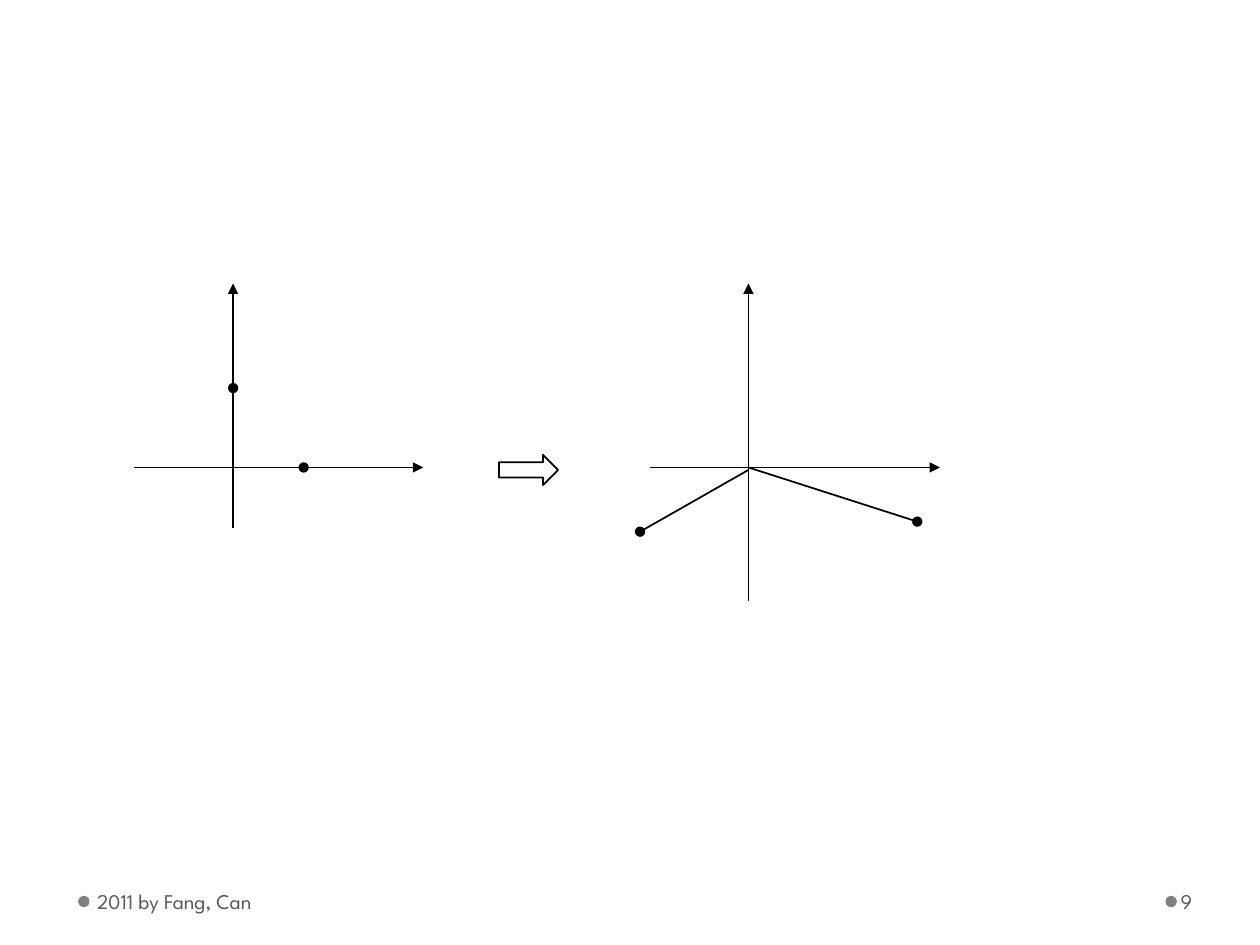
from pptx import Presentation
from pptx.dml.color import RGBColor
from pptx.enum.shapes import MSO_CONNECTOR, MSO_SHAPE
from pptx.enum.text import MSO_ANCHOR
from pptx.oxml.ns import qn
from pptx.util import Inches, Pt
from lxml.etree import SubElement

BLACK = RGBColor(0x00, 0x00, 0x00)
DOT_GRAY = RGBColor(0x80, 0x80, 0x80)
TEXT_GRAY = RGBColor(0x59, 0x59, 0x59)

# Axes and vectors: start, end, ending mark
AXIS_Y = 3.71
LINES = [
    ((1.06, AXIS_Y), (3.36, AXIS_Y), "triangle"),
    ((1.85, 4.19), (1.85, 2.25), "triangle"),
    ((5.16, AXIS_Y), (7.46, AXIS_Y), "triangle"),
    ((5.94, 4.77), (5.94, 2.25), "triangle"),
    ((1.85, AXIS_Y), (1.85, 3.08), "oval"),
    ((1.85, AXIS_Y), (2.41, AXIS_Y), "oval"),
    ((5.94, 3.73), (5.08, 4.22), "oval"),
    ((5.94, AXIS_Y), (7.28, 4.14), "oval"),
]
MAP_ARROW = (3.96, 3.61, 0.47, 0.24)

# Footer: dot left, text left, text width, left and right inset, text
FOOTERS = [
    (0.62, 0.72, 3.11, 0.05, 0.1, "2011 by Fang, Can"),
    (9.25, 9.34, 0.61, 0.03, 0.05, "9"),
]
FOOTER_TOP, FOOTER_HEIGHT = 6.95, 0.4
DOT_TOP, DOT_SIZE = 7.11, 0.09
FOOTER_FONT = {"name": "League Spartan", "size": Pt(12)}


def add_line(page, start, end, mark):
    line = page.shapes.add_connector(
        MSO_CONNECTOR.STRAIGHT, *map(Inches, start + end))
    line.line.color.rgb = BLACK
    line.line.width = Pt(1)
    SubElement(line.line._get_or_add_ln(), qn("a:tailEnd"), type=mark)
    SubElement(line._element.spPr, qn("a:effectLst"))


def add_footer(page, dot_left, left, width, inset_left, inset_right, text):
    dot = page.shapes.add_shape(
        MSO_SHAPE.OVAL, *map(Inches, (dot_left, DOT_TOP, DOT_SIZE, DOT_SIZE)))
    dot.shadow.inherit = False
    dot.fill.solid()
    dot.fill.fore_color.rgb = DOT_GRAY
    dot.line.fill.background()

    box = page.shapes.add_textbox(
        *map(Inches, (left, FOOTER_TOP, width, FOOTER_HEIGHT)))
    frame_format = {
        "word_wrap": True, "vertical_anchor": MSO_ANCHOR.MIDDLE,
        "margin_left": Inches(inset_left), "margin_right": Inches(inset_right),
        "margin_top": Inches(0.05), "margin_bottom": Inches(0.05),
    }
    for name, value in frame_format.items():
        setattr(box.text_frame, name, value)
    span = box.text_frame.paragraphs[0].add_run()
    span.text = text
    for name, value in FOOTER_FONT.items():
        setattr(span.font, name, value)
    span.font.color.rgb = TEXT_GRAY


def main():
    deck = Presentation()
    deck.slide_width, deck.slide_height = Inches(10), Inches(7.5)
    page = deck.slides.add_slide(deck.slide_layouts[6])

    # Footer
    for footer in FOOTERS:
        add_footer(page, *footer)

    # Coordinate systems with their vectors
    for line in LINES:
        add_line(page, *line)

    # Block arrow between the two systems
    arrow = page.shapes.add_shape(
        MSO_SHAPE.RIGHT_ARROW, *map(Inches, MAP_ARROW))
    arrow.shadow.inherit = False
    arrow.fill.background()
    arrow.line.color.rgb = BLACK
    arrow.line.width = Pt(1)

    deck.save("out.pptx")


if __name__ == "__main__":
    main()
